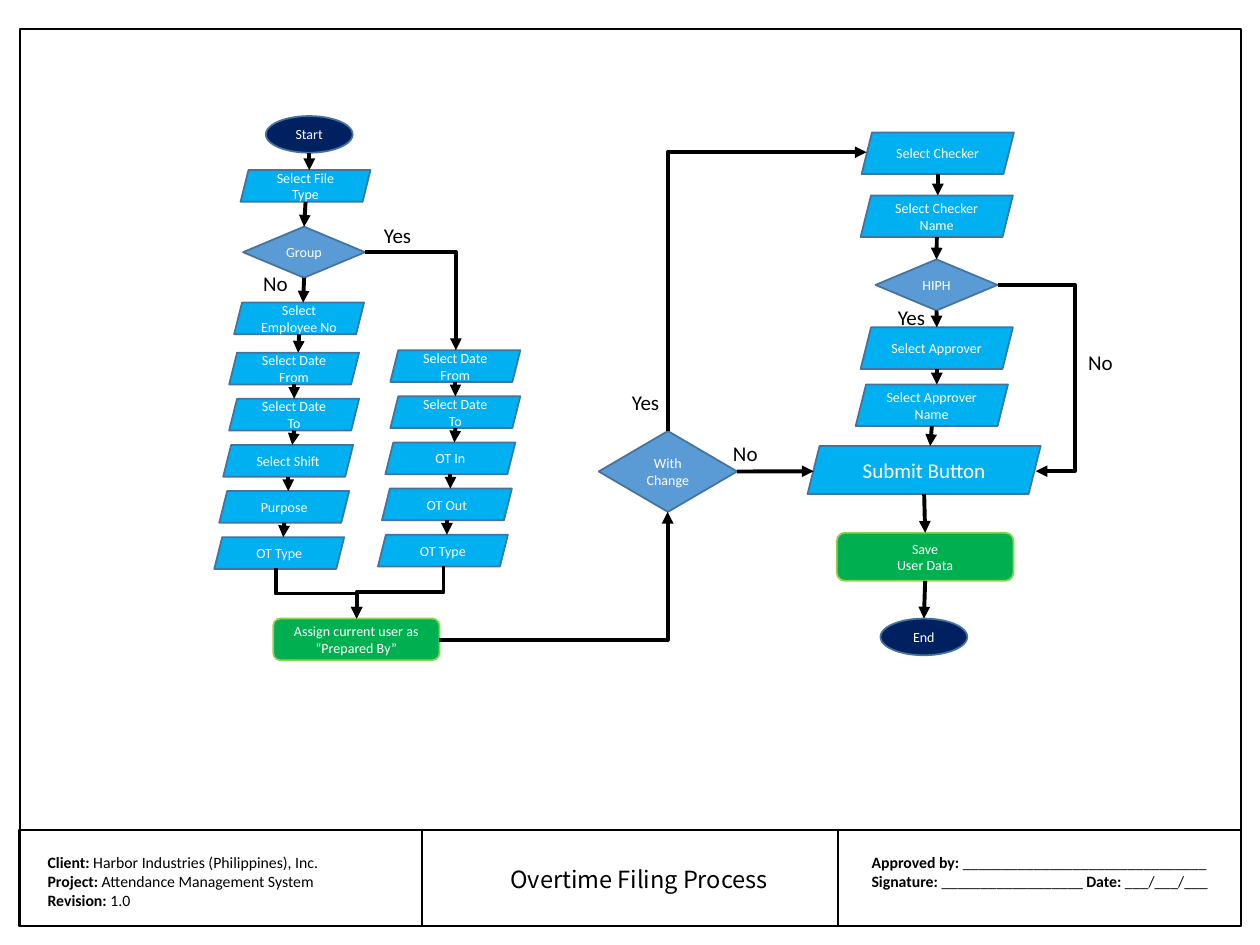
"""Build the overtime filing process flowchart slide."""
from dataclasses import dataclass
from typing import Any

import pptx
import pptx.dml.color
import pptx.enum.shapes
import pptx.enum.text
import pptx.oxml.ns
import pptx.oxml.xmlchemy
import pptx.util

Cm = pptx.util.Cm
Pt = pptx.util.Pt
RGBColor = pptx.dml.color.RGBColor
Kind = pptx.enum.shapes.MSO_SHAPE
Link = pptx.enum.shapes.MSO_CONNECTOR
Align = pptx.enum.text.PP_ALIGN
qn = pptx.oxml.ns.qn
OxmlElement = pptx.oxml.xmlchemy.OxmlElement

BLACK = RGBColor(0x00, 0x00, 0x00)
WHITE = RGBColor(0xFF, 0xFF, 0xFF)
NAVY = RGBColor(0x00, 0x20, 0x60)
SKY = RGBColor(0x00, 0xB0, 0xF0)
BLUE = RGBColor(0x5B, 0x9B, 0xD5)
OUTLINE = RGBColor(0x43, 0x73, 0x9E)
GREEN = RGBColor(0x00, 0xB0, 0x50)
LIME = RGBColor(0x92, 0xD0, 0x50)

COLOURS = {
    Kind.OVAL: (NAVY, OUTLINE),
    Kind.PARALLELOGRAM: (SKY, OUTLINE),
    Kind.DIAMOND: (BLUE, OUTLINE),
    Kind.ROUNDED_RECTANGLE: (GREEN, LIME),
}
FOUR_SIDED = (Kind.DIAMOND, Kind.ROUNDED_RECTANGLE)
TOP, BOTTOM, RIGHT = 0, 2, 3
ROW_PITCH = 0.93


@dataclass
class Step:
    """A flowchart step, measured in centimetres."""
    text: str
    left: float
    top: float
    width: float = 2.62
    height: float = 0.64
    kind: Any = Kind.PARALLELOGRAM
    size: float = 8
    drawn: Any = None

    @property
    def centre(self) -> float:
        return self.left + self.width / 2

    @property
    def slant(self) -> float:
        return self.height / 8 if self.kind == Kind.PARALLELOGRAM else 0


@dataclass
class Elbow:
    """A bent arrow between two points, in centimetres."""
    start: tuple[float, float]
    end: tuple[float, float]
    preset: str
    turn: int = 0
    flips: str = ""
    bend: float = 0.5


@dataclass
class Caption:
    """A text box whose lines are lists of (text, bold) runs."""
    left: float
    top: float
    width: float
    height: float
    lines: list[list[tuple[str, bool]]]
    size: float = 12
    font: str = "Calibri"
    align: Any = Align.CENTER


def write(frame: Any, lines: list, size: float, font: str, colour: RGBColor, align: Any) -> None:
    """Fill a text frame run by run."""
    frame.word_wrap = True
    for index, line in enumerate(lines):
        paragraph = frame.add_paragraph() if index else frame.paragraphs[0]
        paragraph.alignment = align
        for text, bold in line:
            run = paragraph.add_run()
            run.text = text
            run.font.name = font
            run.font.size = Pt(size)
            run.font.bold = bold
            run.font.color.rgb = colour


def draw_frame(slide: Any, left: float, top: float, width: float, height: float) -> None:
    """Draw an unfilled black border."""
    border = slide.shapes.add_shape(Kind.RECTANGLE, Cm(left), Cm(top), Cm(width), Cm(height))
    border.shadow.inherit = False
    border.fill.background()
    border.line.color.rgb = BLACK
    border.line.width = Pt(1)


def draw_caption(slide: Any, caption: Caption) -> None:
    """Draw a text box."""
    box = slide.shapes.add_textbox(
        Cm(caption.left), Cm(caption.top), Cm(caption.width), Cm(caption.height))
    write(box.text_frame, caption.lines, caption.size, caption.font, BLACK, caption.align)


def draw_step(slide: Any, step: Step) -> None:
    """Draw one step and remember its shape."""
    step.drawn = slide.shapes.add_shape(
        step.kind, Cm(step.left), Cm(step.top), Cm(step.width), Cm(step.height))
    fill, line = COLOURS[step.kind]
    step.drawn.shadow.inherit = False
    step.drawn.fill.solid()
    step.drawn.fill.fore_color.rgb = fill
    step.drawn.line.color.rgb = line
    step.drawn.line.width = Pt(1)
    frame = step.drawn.text_frame
    frame.vertical_anchor = pptx.enum.text.MSO_ANCHOR.MIDDLE
    lines = [[(text, False)] for text in step.text.split("\n")]
    write(frame, lines, step.size, "Calibri", WHITE, Align.CENTER)


def add_arrow(slide: Any, kind: Any, x1: float, y1: float, x2: float, y2: float) -> Any:
    """Add a black connector with an arrowhead at its end."""
    arrow = slide.shapes.add_connector(kind, Cm(x1), Cm(y1), Cm(x2), Cm(y2))
    arrow.line.color.rgb = BLACK
    arrow.line.width = Pt(2.25)
    head = OxmlElement("a:tailEnd")
    head.set("type", "triangle")
    properties = arrow._element.spPr
    properties.find(qn("a:ln")).append(head)
    properties.append(OxmlElement("a:effectLst"))
    return arrow


def draw_down(slide: Any, upper: Step, lower: Step) -> None:
    """Link a step to the one below it."""
    landing = min(max(upper.centre, lower.centre), lower.centre + lower.slant)
    arrow = add_arrow(slide, Link.STRAIGHT, upper.centre, upper.top + upper.height,
                      landing, lower.top)
    if upper.kind in FOUR_SIDED:
        arrow.begin_connect(upper.drawn, BOTTOM)
    if lower.kind in FOUR_SIDED:
        arrow.end_connect(lower.drawn, TOP)


def draw_elbow(slide: Any, elbow: Elbow) -> None:
    """Draw a bent arrow, turned and flipped about its centre."""
    (x1, y1), (x2, y2) = elbow.start, elbow.end
    width, height = abs(x2 - x1), abs(y2 - y1)
    if elbow.turn % 180:
        width, height = height, width
    left, top = (x1 + x2 - width) / 2, (y1 + y2 - height) / 2
    arrow = add_arrow(slide, Link.ELBOW, left, top, left + width, top + height)
    properties = arrow._element.spPr
    placement = properties.find(qn("a:xfrm"))
    placement.set("rot", str(elbow.turn * 60000))
    for axis in elbow.flips:
        placement.set(f"flip{axis}", "1")
    geometry = properties.find(qn("a:prstGeom"))
    geometry.set("prst", elbow.preset)
    if elbow.preset == "bentConnector3":
        guide = OxmlElement("a:gd")
        guide.set("name", "adj1")
        guide.set("fmla", f"val {round(elbow.bend * 100000)}")
        geometry.find(qn("a:avLst")).append(guide)


def rows(top: float, entries: list[tuple[str, float]]) -> list[Step]:
    """Stack steps at an equal pitch."""
    return [Step(text, left, top + i * ROW_PITCH) for i, (text, left) in enumerate(entries)]


def main() -> None:
    """Assemble and save the slide."""
    deck = pptx.Presentation()
    deck.slide_width, deck.slide_height = Cm(25.4), Cm(19.05)
    slide = deck.slides.add_slide(deck.slide_layouts[6])
    draw_frame(slide, 0.41, 0.58, 24.61, 18.08)
    for left, width in ((0.38, 8.13), (8.51, 8.38), (16.89, 8.13)):
        draw_frame(slide, left, 16.74, width, 1.93)

    employee_path = [
        Step("Start", 5.36, 2.34, 1.75, 0.74, Kind.OVAL),
        Step("Select File Type", 4.85, 3.43),
        Step("Group", 4.9, 4.57, 2.46, 1.03, Kind.DIAMOND),
        Step("Select Employee No", 4.72, 6.1),
        *rows(7.11, [("Select Date From", 4.62), ("Select Date To", 4.62),
                     ("Select Shift", 4.5), ("Purpose", 4.42), ("OT Type", 4.32)])]
    group_path = rows(7.06, [("Select Date From", 7.87), ("Select Date To", 7.87),
                             ("OT In", 7.77), ("OT Out", 7.7), ("OT Type", 7.62)])
    submit = Step("Submit Button", 16.28, 8.99, 4.7, 0.97, size=12)
    approval_path = [
        Step("Select Checker", 17.37, 2.67, 3.07, 0.84),
        Step("Select Checker Name", 17.35, 3.94, 3.07, 0.84),
        Step("HIPH", 17.65, 5.23, 2.46, 1.03, Kind.DIAMOND),
        Step("Select Approver", 17.35, 6.6, 3.07, 0.84),
        Step("Select Approver Name", 17.25, 7.75, 3.07, 0.84),
        submit,
        Step("Save\nUser Data", 16.87, 10.74, 3.56, 0.97, Kind.ROUNDED_RECTANGLE),
        Step("End", 17.75, 12.47, 1.75, 0.74, Kind.OVAL)]
    prepared = Step("Assign current user as “Prepared By”", 5.51, 12.47, 3.35, 0.84,
                    Kind.ROUNDED_RECTANGLE)
    change = Step("With Change", 12.07, 8.69, 2.79, 1.63, Kind.DIAMOND)
    for path in (employee_path, group_path, approval_path, [prepared], [change]):
        for step in path:
            draw_step(slide, step)
        for upper, lower in zip(path, path[1:]):
            draw_down(slide, upper, lower)
    unchanged = add_arrow(slide, Link.STRAIGHT, 14.86, 9.5, submit.left + submit.slant, 9.5)
    unchanged.begin_connect(change.drawn, RIGHT)

    for elbow in (
            Elbow((7.36, 5.08), (9.19, 7.06), "bentConnector2"),
            Elbow((5.56, 11.46), (7.19, 12.47), "bentConnector3", 270, "H"),
            Elbow((8.94, 11.41), (7.19, 12.47), "bentConnector3", 90),
            Elbow((8.86, 12.9), (13.46, 10.32), "bentConnector2", 0, "V"),
            Elbow((13.46, 8.69), (17.47, 3.07), "bentConnector2", 90, "HV"),
            Elbow((20.11, 5.74), (20.88, 9.5), "bentConnector3", bend=2.02)):
        draw_elbow(slide, elbow)
    for answer, left, top in (("No", 14.3, 8.76), ("Yes", 12.29, 7.72), ("Yes", 7.29, 4.37),
                              ("No", 4.83, 5.33), ("No", 21.46, 6.93), ("Yes", 17.65, 6.02)):
        draw_caption(slide, Caption(left, top, 1.45, 0.76, [[(answer, False)]]))

    draw_caption(slide, Caption(0.71, 17.07, 7.49, 1.42, [
        [("Client:", True), (" Harbor Industries (Philippines), Inc.", False)],
        [("Project: ", True), ("Attendance Management System", False)],
        [("Revision:", True), (" 1.0", False)]], 9, align=Align.LEFT))
    draw_caption(slide, Caption(17.32, 17.07, 7.8, 1.02, [
        [("Approved by: ", True), ("_" * 31, False)],
        [("Signature: ", True), ("_" * 18, False), (" Date: ", True), ("___/___/___", False)],
    ], 9, align=Align.LEFT))
    draw_caption(slide, Caption(8.86, 17.32, 8.05, 0.84, [[("Overtime Filing Process", False)]],
                                13.5, "Noto Sans CJK JP"))
    deck.save("out.pptx")


if __name__ == "__main__":
    main()
